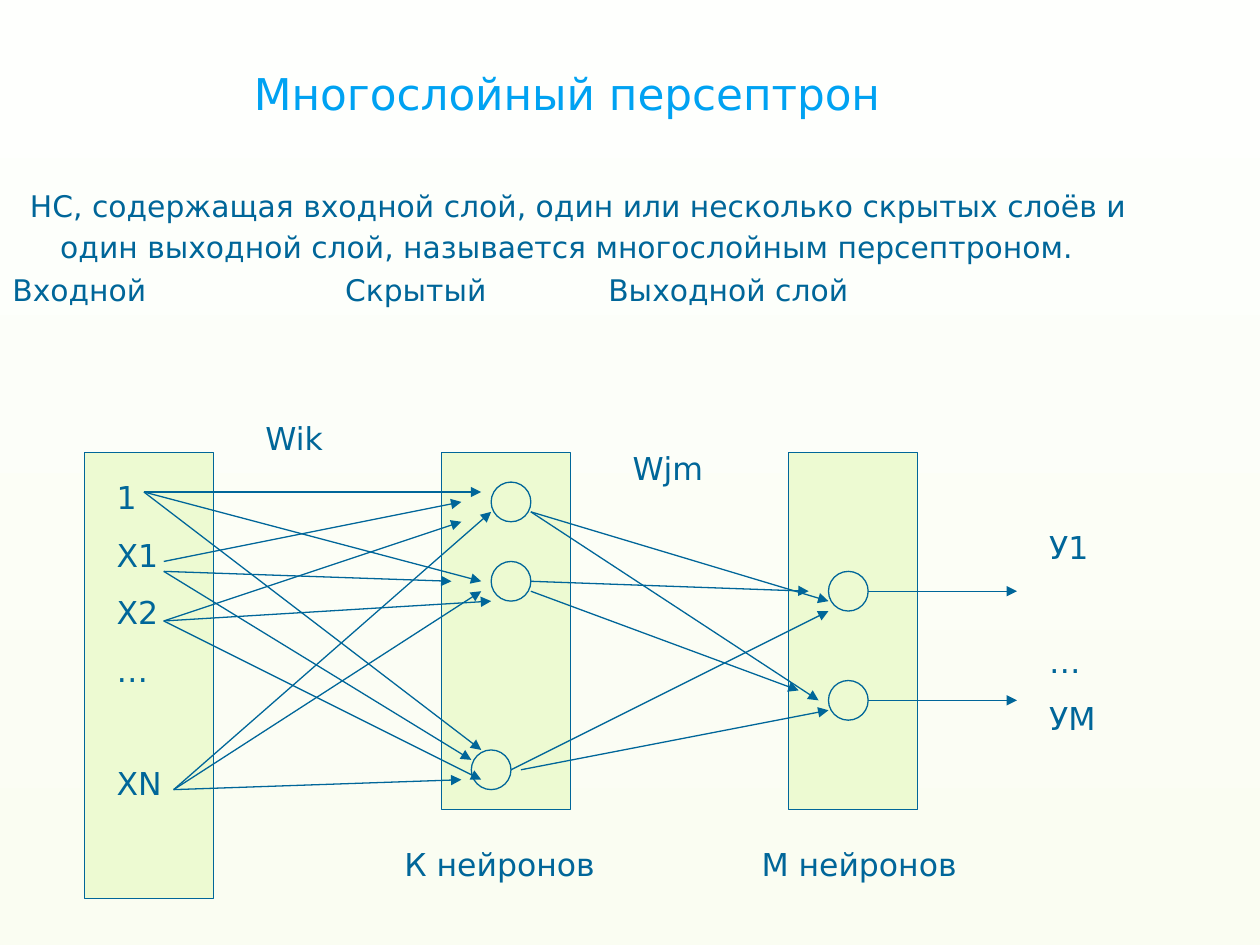
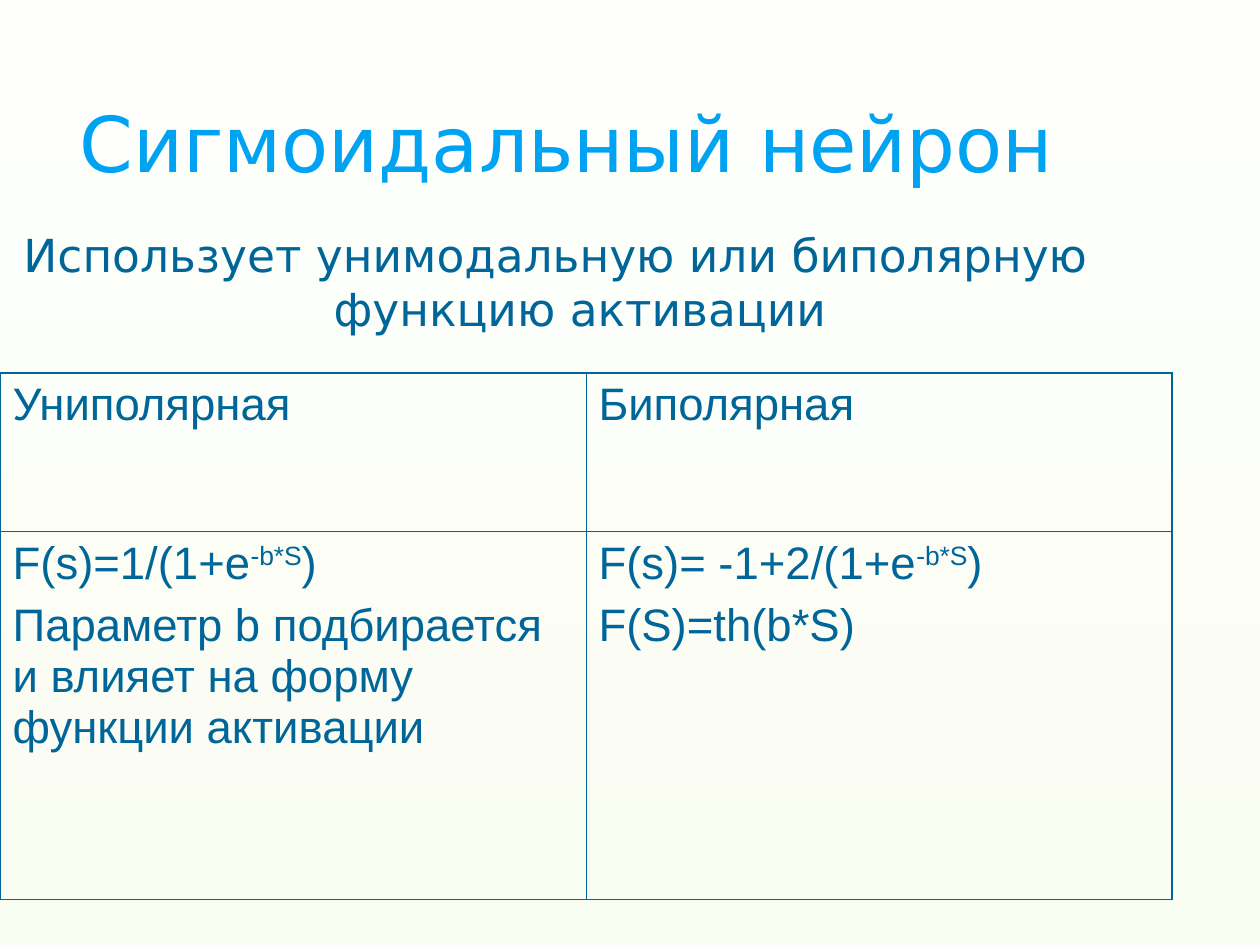
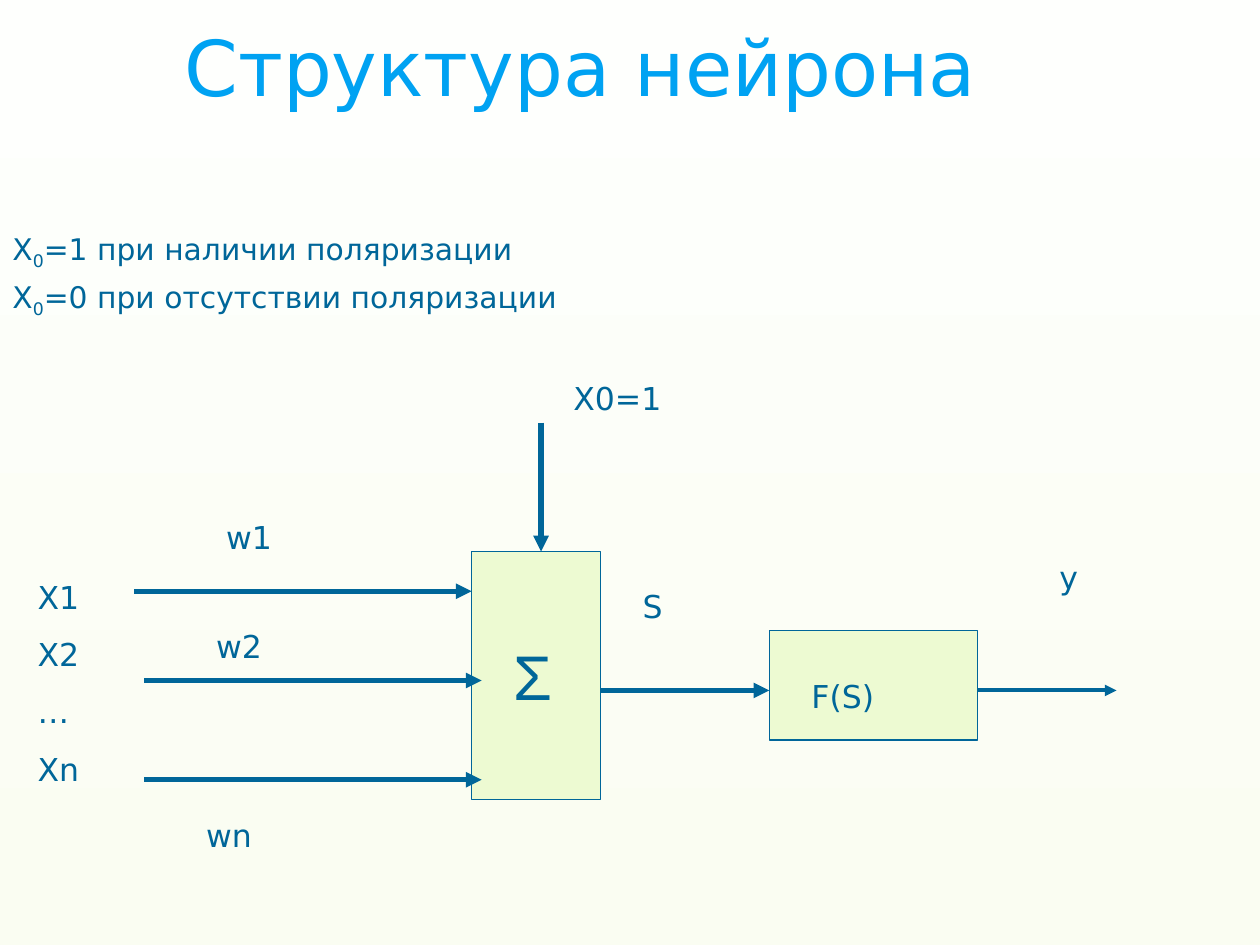
from dataclasses import dataclass
from lxml import etree
from pptx import Presentation
from pptx.dml.color import RGBColor
from pptx.enum.shapes import MSO_CONNECTOR, MSO_SHAPE
from pptx.enum.text import MSO_ANCHOR, PP_ALIGN
from pptx.oxml.ns import qn
from pptx.util import Inches, Pt

RECT, OVAL = MSO_SHAPE.RECTANGLE, MSO_SHAPE.OVAL
STRAIGHT = MSO_CONNECTOR.STRAIGHT
LEFT, CENTER = PP_ALIGN.LEFT, PP_ALIGN.CENTER
TOP, BOTTOM = MSO_ANCHOR.TOP, MSO_ANCHOR.BOTTOM

WIDE, HIGH = 10, 7.5
SKY, INK, LIME = "00A2F2", "006699", "EDFAD2"
PAPER = ("FEFFFD", "FAFDF2")
SANS, ARIAL = "DejaVu Sans", "Arial"
THIN = 0.75
GAP = 11.2
BLANK_GAP = 43.4  # room for one skipped line
HANG = 0.38


@dataclass
class Grid:
    """Square cells counted from the top left corner of a region."""
    left: float
    top: float
    cell: float = WIDE / 127

    def at(self, col, row):
        return (Inches(self.left + col * self.cell),
                Inches(self.top + row * self.cell))

    def box(self, col, row, cols, rows):
        size = Inches(cols * self.cell), Inches(rows * self.cell)
        return *self.at(col, row), *size


def rgb(code):
    return RGBColor.from_string(code)


def inches(*sides):
    return tuple(Inches(side) for side in sides)


def fill_text(par, text, size, font=SANS, color=INK):
    """Write text; parts between bars that start with ^ or _ are raised or lowered."""
    for part in text.split("|"):
        run = par.add_run()
        run.text = part.lstrip("^_")
        run.font.size, run.font.name = Pt(size), font
        run.font.color.rgb = rgb(color)
        shift = {"^": "30000", "_": "-25000"}.get(part[:1])
        if shift:
            run.font._element.set("baseline", shift)


def fill_frame(frame, lines, size, gap=GAP, align=LEFT, **style):
    """Write one paragraph a line; an empty line widens the next gap."""
    par, space = frame.paragraphs[0], 0
    for line in lines:
        if not line:
            space = BLANK_GAP
            continue
        if par.runs:
            par = frame.add_paragraph()
            par.space_before = Pt(space or gap)
        space = 0
        par.alignment = align
        fill_text(par, line, size, **style)


def add_text(slide, box, lines, size=18, anchor=TOP, **style):
    frame = slide.shapes.add_textbox(*box).text_frame
    frame.word_wrap, frame.vertical_anchor = True, anchor
    fill_frame(frame, lines, size, **style)
    return frame


def hang(par, left=HANG, first=-HANG):
    props = par._p.get_or_add_pPr()
    props.set("marL", str(Inches(left)))
    props.set("indent", str(Inches(first)))


def add_tabs(par, stops):
    tabs = etree.SubElement(par._p.get_or_add_pPr(), qn("a:tabLst"))
    for stop in stops:
        etree.SubElement(tabs, qn("a:tab"), pos=str(Inches(stop)), algn="l")


def add_block(slide, kind, box):
    shape = slide.shapes.add_shape(kind, *box)
    shape.shadow.inherit = False
    shape.fill.solid()
    shape.fill.fore_color.rgb = rgb(LIME)
    shape.line.color.rgb = rgb(INK)
    shape.line.width = Pt(THIN)


def add_arrow(slide, start, end, width=THIN):
    link = slide.shapes.add_connector(STRAIGHT, *start, *end)
    link.line.color.rgb = rgb(INK)
    link.line.width = Pt(width)
    etree.SubElement(link.line._get_or_add_ln(), qn("a:tailEnd"), type="triangle")
    etree.SubElement(link._element.spPr, qn("a:effectLst"))


def add_page(deck, title, box, size=44):
    slide = deck.slides.add_slide(deck.slide_layouts[6])
    fill = slide.background.fill
    fill.gradient()
    fill.gradient_angle = 270
    for stop, color in zip(fill.gradient_stops, PAPER):
        stop.color.rgb = rgb(color)
    frame = add_text(slide, inches(*box), [title], size, BOTTOM,
                     align=CENTER, color=SKY)
    frame.paragraphs[0].line_spacing = 0.9
    return slide


def draw_layers(slide, grid):
    for col, rows in ((0, 45), (36, 36), (71, 36)):
        add_block(slide, RECT, grid.box(col, 0, 13, rows))
    for col, row in ((41, 3), (41, 11), (39, 30), (75, 12), (75, 23)):
        add_block(slide, OVAL, grid.box(col, row, 4, 4))


def draw_links(slide, grid):
    fans = (
        ((6, 4), ((40, 4), (40, 13), (40, 30))),
        ((8, 11), ((38, 5),)),
        ((8, 12), ((37, 13), (39, 31))),
        ((8, 17), ((38, 7), (41, 15), (40, 33))),
        ((9, 34), ((38, 33), (40, 14), (41, 6))),
        ((45, 6), ((75, 15), (74, 25))),
        ((45, 13), ((73, 14),)),
        ((45, 14), ((72, 24),)),
        ((43, 32), ((75, 16),)),
        ((44, 32), ((75, 26),)),
        ((79, 14), ((94, 14),)),
        ((79, 25), ((94, 25),)),
    )
    for start, ends in fans:
        for end in ends:
            add_arrow(slide, grid.at(*start), grid.at(*end))


def draw_labels(slide, grid, labels):
    for col, row, cols, lines in labels:
        add_text(slide, grid.box(col, row, cols, 5 * len(lines)), lines)


def net_page(deck):
    slide = add_page(deck, "Многослойный персептрон", (0, 0.3, 9, 0.7), 25)
    intro = ("НС, содержащая входной слой, один или несколько скрытых слоёв и "
             "один выходной слой, называется многослойным персептроном.")
    heads = "Входной\tСкрытый\tВыходной слой"
    frame = add_text(slide, inches(0, 1.4, 9.5, 1.2), [intro, heads], 17, gap=4.2)
    first, last = frame.paragraphs
    first.line_spacing = Pt(23.5)
    hang(first, HANG, -0.24)
    add_tabs(last, (2.64, 4.73))

    grid = Grid(0.67, 3.59)
    draw_layers(slide, grid)
    draw_links(slide, grid)
    draw_labels(slide, grid, (
        (2, 2, 8, ["1", "Х1", "Х2", "…", "", "ХN"]),
        (17, -4, 10, ["Wik"]),
        (54, -1, 11, ["Wjm"]),
        (96, 7, 11, ["У1", "", "…", "УМ"]),
        (31, 39, 30, ["К нейронов"]),
        (67, 39, 30, ["М нейронов"]),
    ))


def edge_cell(cell, sides):
    """Draw the cell's edges; sides maps an edge letter to a width."""
    cell.fill.background()
    props = cell._tc.get_or_add_tcPr()
    for spot, (side, width) in enumerate(sides.items()):
        line = etree.Element(qn("a:ln" + side), w=str(Pt(width)))
        fill = etree.SubElement(line, qn("a:solidFill"))
        etree.SubElement(fill, qn("a:srgbClr"), val=INK)
        props.insert(spot, line)


def draw_table(slide, box, heights, rows):
    count = len(rows[0])
    table = slide.shapes.add_table(len(rows), count, *inches(*box)).table
    table.first_row = table.horz_banding = False
    for col in table.columns:
        col.width = Inches(box[2] / count)
    outer, inner = 1.08, 0.45
    for i, row in enumerate(rows):
        table.rows[i].height = Inches(heights[i])
        for j, lines in enumerate(row):
            cell = table.cell(i, j)
            fill_frame(cell.text_frame, lines, 26, gap=6.5, font=ARIAL)
            edge_cell(cell, {
                "L": inner if j else outer,
                "R": inner if j < count - 1 else outer,
                "T": inner if i else outer,
                "B": inner if i < len(rows) - 1 else outer,
            })


def sigmoid_page(deck):
    slide = add_page(deck, "Сигмоидальный нейрон", (0, 0.3, 9, 1.25))
    intro = "Использует унимодальную или биполярную функцию активации"
    frame = add_text(slide, inches(0, 1.75, 8.83, 1.1), [intro], 26, align=CENTER)
    hang(frame.paragraphs[0])
    draw_table(slide, (0, 2.96, 9.3, 4.18), (1.26, 2.92), (
        (["Униполярная"], ["Биполярная"]),
        (["F(s)=1/(1+e|^-b*S|)",
          "Параметр b подбирается и влияет на форму функции активации"],
         ["F(s)= -1+2/(1+e|^-b*S|)", "F(S)=th(b*S)"]),
    ))


def draw_neuron(slide, grid):
    for box in ((45, 18, 13, 25), (75, 26, 21, 11)):
        add_block(slide, RECT, grid.box(*box))
    arrows = (
        ((11, 22), (45, 22), 3),
        ((12, 31), (46, 31), 3),
        ((12, 41), (46, 41), 3),
        ((52, 5), (52, 18), 3),
        ((58, 32), (75, 32), 3),
        ((96, 32), (110, 32), 2.25),
    )
    for start, end, width in arrows:
        add_arrow(slide, grid.at(*start), grid.at(*end), width)
    add_text(slide, grid.box(48, 26, 8, 9), ["Σ"], 36, font=ARIAL)
    draw_labels(slide, grid, (
        (0, 20, 10, ["Х1", "Х2", "…", "Хn"]),
        (54, 0, 13, ["Х0=1"]),
        (78, 30, 15, ["F(S)"]),
        (19, 14, 12, ["w1"]),
        (18, 25, 16, ["w2"]),
        (17, 44, 18, ["wn"]),
        (61, 21, 8, ["S"]),
        (103, 18, 10, ["y"]),
    ))


def neuron_page(deck):
    slide = add_page(deck, "Структура нейрона", (0.11, -0.3, 9, 1.25))
    notes = ["Х|_0|=1 при наличии поляризации", "Х|_0|=0 при отсутствии поляризации"]
    frame = add_text(slide, inches(0, 1.78, 9.53, 0.9), notes, 17, gap=4.2)
    for par in frame.paragraphs:
        hang(par)
    draw_neuron(slide, Grid(0.2, 2.96))


def main():
    deck = Presentation()
    deck.slide_width, deck.slide_height = inches(WIDE, HIGH)
    net_page(deck)
    sigmoid_page(deck)
    neuron_page(deck)
    deck.save("out.pptx")


if __name__ == "__main__":
    main()
